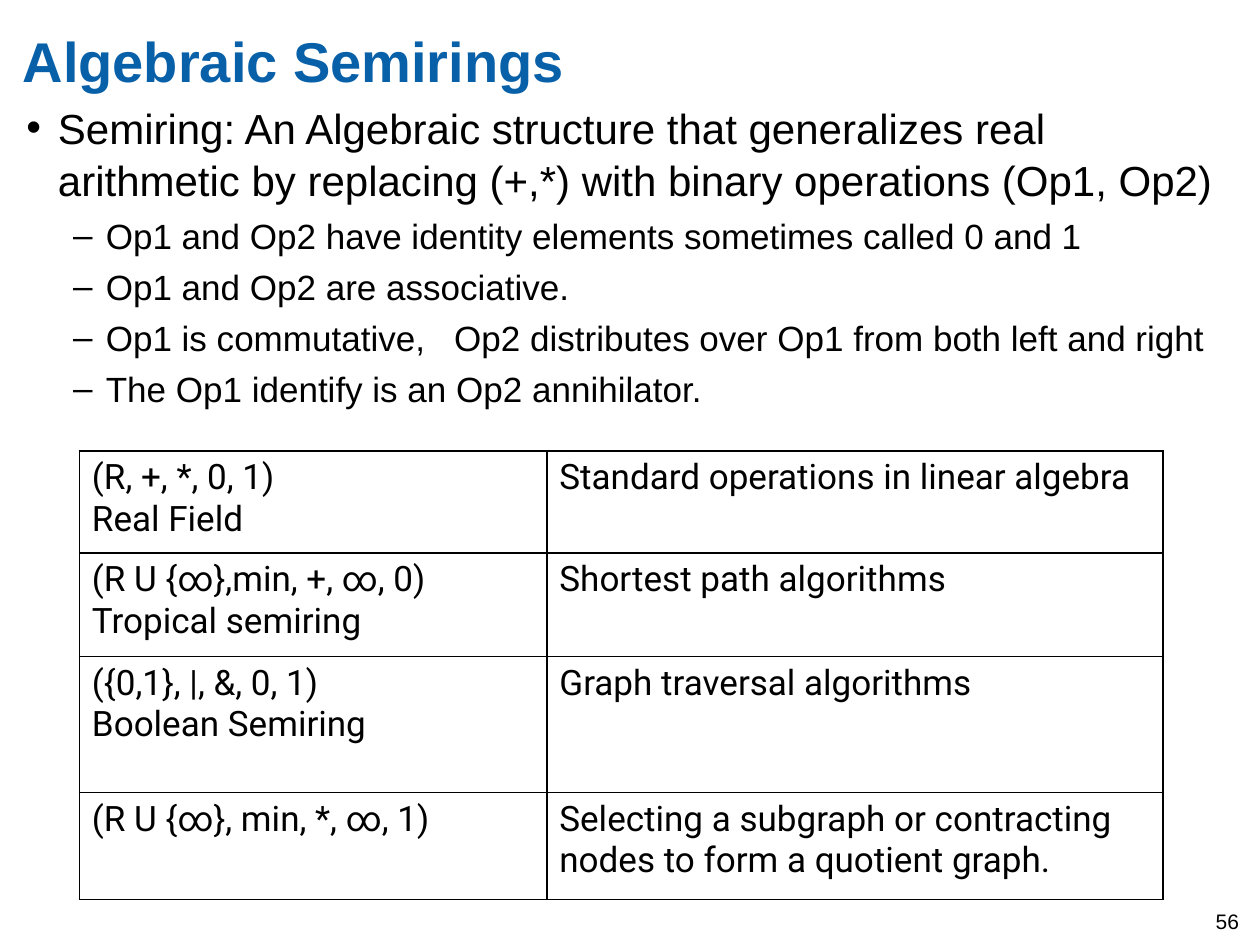
"""Build the Algebraic Semirings slide."""
from dataclasses import dataclass

from lxml import etree
from pptx import Presentation
from pptx import util as u
from pptx.dml import color
from pptx.enum import text
from pptx.oxml import ns


@dataclass(frozen=True)
class Theme:
    """Colours, fonts and type sizes of the slide."""
    blue: str = "0860A8"
    black: str = "000000"
    sans: str = "Arial"
    table_font: str = "Roboto"
    title: int = 32
    lead: int = 24
    detail: int = 20
    number: int = 12


THEME = Theme()
LEAD = ("Semiring: An Algebraic structure that generalizes real arithmetic "
        "by replacing (+,*) with binary operations (Op1, Op2)")
PROPERTIES = [
    "Op1 and Op2 have identity elements sometimes called 0 and 1",
    "Op1 and Op2 are associative.",
    "Op1 is commutative,   Op2 distributes over Op1 from both left and right",
    "The Op1 identify is an Op2 annihilator.",
]
SEMIRINGS = [
    (["(R, +, *, 0, 1)", "Real Field"], ["Standard operations in linear algebra"]),
    (["(R U {∞},min, +, ∞, 0)", "Tropical semiring"], ["Shortest path algorithms"]),
    (["({0,1}, |, &, 0, 1)", "Boolean Semiring"], ["Graph traversal algorithms"]),
    (["(R U {∞}, min, *, ∞, 1)"],
     ["Selecting a subgraph or contracting nodes to form a quotient graph."]),
]
COLUMN_WIDTHS = [3.71, 4.89]
ROW_HEIGHTS = [0.81, 0.82, 1.08, 0.85]


def set_values(target, values):
    """Set attributes of an object from a dict."""
    for name, value in values.items():
        setattr(target, name, value)


def box(left, top, width, height):
    """Return position values in inches."""
    lengths = zip(("left", "top", "width", "height"), (left, top, width, height))
    return {name: u.Inches(length) for name, length in lengths}


def write(paragraph, words, size, font=THEME.sans, colour=THEME.black, bold=False):
    """Write one formatted run in a paragraph."""
    run = paragraph.add_run()
    run.text = words
    set_values(run.font, {"size": u.Pt(size), "name": font, "bold": bold})
    run.font.color.rgb = color.RGBColor.from_string(colour)


def prepare_frame(shape, inset=0):
    """Give a text frame wrapping, top anchoring and equal insets."""
    frame = shape.text_frame
    set_values(frame, {"word_wrap": True, "auto_size": text.MSO_AUTO_SIZE.NONE,
                       "vertical_anchor": text.MSO_ANCHOR.TOP})
    sides = ("left", "top", "right", "bottom")
    set_values(frame, {f"margin_{side}": u.Inches(inset) for side in sides})
    return frame


def add_title(slide, words):
    """Format the title placeholder."""
    title = slide.shapes.title
    set_values(title, box(0.18, 0.21, 9.73, 0.97))
    paragraph = prepare_frame(title).paragraphs[0]
    paragraph.alignment = text.PP_ALIGN.LEFT
    write(paragraph, words, THEME.title, colour=THEME.blue, bold=True)


def set_bullet(paragraph, mark, left, hanging):
    """Give a paragraph a bullet with a hanging indent."""
    properties = paragraph._p.get_or_add_pPr()
    properties.set("marL", str(u.Inches(left)))
    properties.set("indent", str(-u.Inches(hanging)))
    etree.SubElement(properties, ns.qn("a:buFont"), typeface=THEME.sans)
    etree.SubElement(properties, ns.qn("a:buChar"), char=mark)


def add_bullets(slide):
    """Add the definition and the list of its properties."""
    shape = slide.shapes.add_textbox(**box(0.21, 0.79, 9.58, 2.77))
    frame = prepare_frame(shape)
    lead = frame.paragraphs[0]
    set_bullet(lead, "•", 0.25, 0.25)
    lead.line_spacing = 1.05
    write(lead, LEAD, THEME.lead)
    for words in PROPERTIES:
        paragraph = frame.add_paragraph()
        set_bullet(paragraph, "–", 0.63, 0.26)
        set_values(paragraph, {"level": 1, "line_spacing": 1.05,
                               "space_before": u.Pt(4)})
        write(paragraph, words, THEME.detail)


def set_borders(cell):
    """Draw a thin line on each side of a cell."""
    properties = cell._tc.get_or_add_tcPr()
    for side in ("lnL", "lnR", "lnT", "lnB"):
        line = etree.SubElement(properties, ns.qn(f"a:{side}"), w=str(u.Pt(1)))
        fill = etree.SubElement(line, ns.qn("a:solidFill"))
        etree.SubElement(fill, ns.qn("a:srgbClr"), val=THEME.black)


def fill_cell(cell, lines):
    """Write the lines of a cell and give it borders without a fill."""
    set_borders(cell)
    cell.fill.background()
    frame = cell.text_frame
    for index, words in enumerate(lines):
        paragraph = frame.add_paragraph() if index else frame.paragraphs[0]
        write(paragraph, words, THEME.detail, THEME.table_font)


def add_semiring_table(slide):
    """Add the table of semirings and their uses."""
    place = box(0.63, 3.58, sum(COLUMN_WIDTHS), sum(ROW_HEIGHTS))
    table = slide.shapes.add_table(len(SEMIRINGS), len(COLUMN_WIDTHS), **place).table
    set_values(table, {"first_row": False, "horz_banding": False})
    for column, width in zip(table.columns, COLUMN_WIDTHS):
        column.width = u.Inches(width)
    for row, height, contents in zip(table.rows, ROW_HEIGHTS, SEMIRINGS):
        row.height = u.Inches(height)
        for cell, lines in zip(row.cells, contents):
            fill_cell(cell, lines)


def add_slide_number(slide, number):
    """Add the slide number in the lower right corner."""
    shape = slide.shapes.add_textbox(**box(9.55, 7.16, 0.45, 0.33))
    frame = prepare_frame(shape, 0.1)
    set_values(frame, {"margin_top": u.Inches(0.05), "margin_bottom": u.Inches(0.05)})
    write(frame.paragraphs[0], number, THEME.number)


def main():
    """Build and save the presentation."""
    presentation = Presentation()
    set_values(presentation, {"slide_width": u.Inches(10), "slide_height": u.Inches(7.5)})
    slide = presentation.slides.add_slide(presentation.slide_layouts[5])
    add_slide_number(slide, "56")
    add_semiring_table(slide)
    add_title(slide, "Algebraic Semirings")
    add_bullets(slide)
    presentation.save("out.pptx")


if __name__ == "__main__":
    main()
